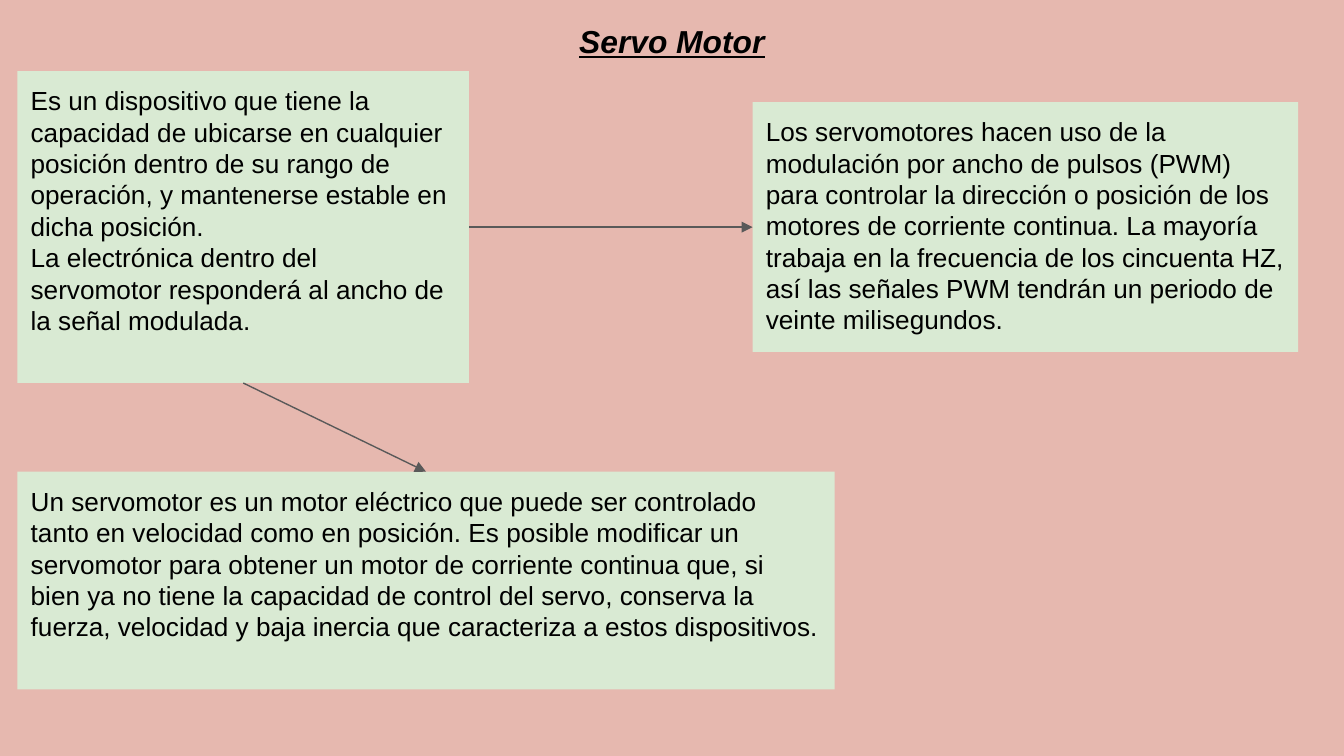
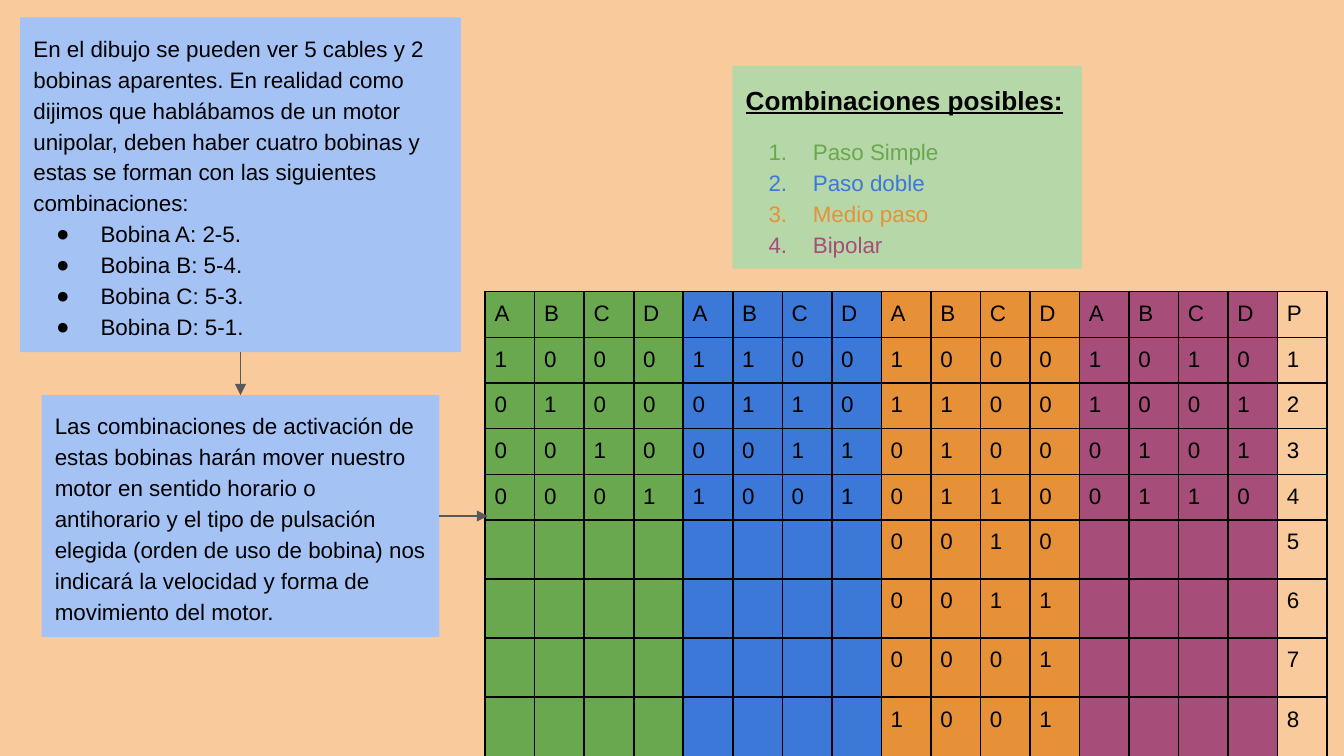
from lxml.etree import SubElement
from pptx import Presentation
from pptx.dml.color import RGBColor
from pptx.enum.shapes import MSO_CONNECTOR, MSO_SHAPE
from pptx.enum.text import MSO_ANCHOR, MSO_AUTO_SIZE, PP_ALIGN
from pptx.oxml.ns import qn
from pptx.util import Inches, Pt

FONT = "Arial"
BLACK = RGBColor(0x00, 0x00, 0x00)
GRAY = RGBColor(0x59, 0x59, 0x59)
PINK = RGBColor(0xE6, 0xB8, 0xAF)
PEACH = RGBColor(0xF9, 0xCB, 0x9C)
PALE_GREEN = RGBColor(0xD9, 0xEA, 0xD3)
LIGHT_GREEN = RGBColor(0xB6, 0xD7, 0xA8)
LIGHT_BLUE = RGBColor(0xA4, 0xC2, 0xF4)
GREEN = RGBColor(0x6A, 0xA8, 0x4F)
BLUE = RGBColor(0x3C, 0x78, 0xD8)
ORANGE = RGBColor(0xE6, 0x91, 0x38)
PURPLE = RGBColor(0xA6, 0x4D, 0x79)

STEP_MODES = [
    ("Paso Simple", GREEN, ["1000", "0100", "0010", "0001"]),
    ("Paso doble", BLUE, ["1100", "0110", "0011", "1001"]),
    ("Medio paso", ORANGE, ["1000", "1100", "0100", "0110",
                            "0010", "0011", "0001", "1001"]),
    ("Bipolar", PURPLE, ["1010", "1001", "0101", "0110"]),
]
COILS = "ABCD"
PULSES = 8


def add_text(tf, text, size=12, color=BLACK, bold=False, italic=False,
             underline=False, align=PP_ALIGN.LEFT, spacing=None, before=None,
             bullet=None):
    """Write one paragraph, using the empty first one if it is free."""
    p = tf.paragraphs[0]
    if p.runs:
        p = tf.add_paragraph()
    p.alignment = align
    if spacing:
        p.line_spacing = spacing
    if before:
        p.space_before = Pt(before)
    if bullet:
        pPr = p._p.get_or_add_pPr()
        pPr.set("marL", str(Inches(0.5)))
        pPr.set("indent", str(Inches(-0.33)))
        SubElement(SubElement(pPr, qn("a:buClr")), qn("a:srgbClr"), val=str(color))
        SubElement(pPr, qn("a:buFont"), typeface=FONT)
        if bullet == "number":
            SubElement(pPr, qn("a:buAutoNum"), type="arabicPeriod")
        else:
            SubElement(pPr, qn("a:buChar"), char=bullet)
    r = p.add_run()
    r.text = text
    f = r.font
    f.name, f.size = FONT, Pt(size)
    f.bold, f.italic, f.underline = bold, italic, underline
    f.color.rgb = color


def set_frame(tf):
    """Give a text frame the shared margins, wrap and anchor."""
    tf.word_wrap = True
    tf.auto_size = MSO_AUTO_SIZE.SHAPE_TO_FIT_TEXT
    tf.vertical_anchor = MSO_ANCHOR.TOP
    tf.margin_left = tf.margin_right = tf.margin_top = tf.margin_bottom = Inches(0.1)


def add_box(s, box, fill, texts=(), **fmt):
    """Draw a filled box holding the given paragraphs."""
    sp = s.shapes.add_shape(MSO_SHAPE.RECTANGLE, *map(Inches, box))
    sp.shadow.inherit = False
    sp.fill.solid()
    sp.fill.fore_color.rgb = fill
    sp.line.fill.background()
    set_frame(sp.text_frame)
    for text in texts:
        add_text(sp.text_frame, text, **fmt)
    return sp


def add_title(s, box, text):
    """Write the slide title."""
    tf = s.shapes.add_textbox(*map(Inches, box)).text_frame
    set_frame(tf)
    add_text(tf, text, size=17, bold=True, italic=True, underline=True,
             align=PP_ALIGN.CENTER)


def add_arrow(s, start, side, end=None, end_side=None, length=0):
    """Run an arrow from a box side to another box, or rightwards by a length."""
    x, y = start.left + start.width, start.top + start.height // 2
    c = s.shapes.add_connector(MSO_CONNECTOR.STRAIGHT, x, y, x + Inches(length), y)
    c.begin_connect(start, side)
    if end is not None:
        c.end_connect(end, end_side)
    c.line.color.rgb = GRAY
    c.line.width = Pt(0.75)
    SubElement(c.line._get_or_add_ln(), qn("a:tailEnd"), type="triangle")
    SubElement(c._element.spPr, qn("a:effectLst"))


def add_slide(prs, color):
    """Add a blank slide with a plain background."""
    s = prs.slides.add_slide(prs.slide_layouts[6])
    s.background.fill.solid()
    s.background.fill.fore_color.rgb = color
    return s


def set_cell(cell, text, fill):
    """Fill, border and write one table cell."""
    cell.margin_left = cell.margin_right = Inches(0.07)
    cell.margin_top = cell.margin_bottom = Inches(0.07)
    tcPr = cell._tc.get_or_add_tcPr()
    for side in ("lnL", "lnR", "lnT", "lnB"):
        ln = SubElement(tcPr, qn(f"a:{side}"), w=str(Pt(1)))
        SubElement(SubElement(ln, qn("a:solidFill")), qn("a:srgbClr"), val=str(BLACK))
    if fill is None:
        cell.fill.background()
    else:
        cell.fill.solid()
        cell.fill.fore_color.rgb = fill
    if text:
        add_text(cell.text_frame, text)
    else:
        SubElement(cell.text_frame.paragraphs[0]._p, qn("a:endParaRPr"), sz="1200")


def add_step_table(s, left, top, width):
    """Tabulate the coil states of every step mode by pulse."""
    columns = [(coil, color, [state[i] for state in states])
               for _, color, states in STEP_MODES
               for i, coil in enumerate(COILS)]
    columns.append(("P", None, [str(n + 1) for n in range(PULSES)]))
    heights = [0.34] * 5 + [0.44] * 4
    gf = s.shapes.add_table(PULSES + 1, len(columns), Inches(left), Inches(top),
                            Inches(width), Inches(sum(heights)))
    table = gf.table
    table.first_row = table.horz_banding = False
    for row, height in zip(table.rows, heights):
        row.height = Inches(height)
    for j, (head, color, values) in enumerate(columns):
        table.columns[j].width = Inches(width / len(columns))
        texts = [head] + values + [""] * (PULSES - len(values))
        for i, text in enumerate(texts):
            set_cell(table.cell(i, j), text, color)


def build_servo(prs):
    """Build the servo motor slide."""
    s = add_slide(prs, PINK)
    device = add_box(s, (0.13, 0.53, 3.36, 2.32), PALE_GREEN, [
        "Es un dispositivo que tiene la capacidad de ubicarse en cualquier posición "
        "dentro de su rango de operación, y mantenerse estable en dicha posición.",
        "La electrónica dentro del servomotor responderá al ancho de la señal modulada.",
    ], size=14)
    control = add_box(s, (0.13, 3.51, 6.08, 1.62), PALE_GREEN, [
        "Un servomotor es un motor eléctrico que puede ser controlado tanto en "
        "velocidad como en posición. Es posible modificar un servomotor para obtener "
        "un motor de corriente continua que, si bien ya no tiene la capacidad de "
        "control del servo, conserva la fuerza, velocidad y baja inercia que "
        "caracteriza a estos dispositivos.",
    ], size=14)
    pwm = add_box(s, (5.6, 0.76, 4.06, 1.86), PALE_GREEN, [
        "Los servomotores hacen uso de la modulación por ancho de pulsos (PWM) para "
        "controlar la dirección o posición de los motores de corriente continua. La "
        "mayoría trabaja en la frecuencia de los cincuenta HZ, así las señales PWM "
        "tendrán un periodo de veinte milisegundos.",
    ], size=14)
    add_title(s, (3.73, 0.06, 2.54, 0.49), "Servo Motor")
    add_arrow(s, device, 3, pwm, 1)
    add_arrow(s, device, 2, control, 0)


def build_steps(prs):
    """Build the coil combinations slide."""
    s = add_slide(prs, PEACH)
    coils = add_box(s, (0.15, 0.13, 3.28, 2.49), LIGHT_BLUE, [
        "En el dibujo se pueden ver 5 cables y 2 bobinas aparentes. En realidad como "
        "dijimos que hablábamos de un motor unipolar, deben haber cuatro bobinas y "
        "estas se forman con las siguientes combinaciones:",
    ], spacing=1.15)
    for coil, pair in zip(COILS, ("2-5", "5-4", "5-3", "5-1")):
        add_text(coils.text_frame, f"Bobina {coil}: {pair}.", spacing=1.15, bullet="●")
    modes = add_box(s, (5.45, 0.49, 2.6, 1.51), LIGHT_GREEN,
                    ["Combinaciones posibles:"], size=14, bold=True, underline=True,
                    align=PP_ALIGN.JUSTIFY, spacing=1.15)
    for i, (name, color, _) in enumerate(STEP_MODES):
        add_text(modes.text_frame, name, color=color, spacing=1.15,
                 before=None if i else 10, bullet="number")
    add_step_table(s, 3.61, 2.17, 6.27)
    motion = add_box(s, (0.31, 2.94, 2.96, 1.8), LIGHT_BLUE, [
        "Las combinaciones de activación de estas bobinas harán mover nuestro motor en "
        "sentido horario o antihorario y el tipo de pulsación elegida (orden de uso de "
        "bobina) nos indicará la velocidad y forma de movimiento del motor.",
    ], spacing=1.15)
    add_arrow(s, coils, 2, motion, 0)
    add_arrow(s, motion, 3, length=0.36)


def main():
    """Build and save the presentation."""
    prs = Presentation()
    prs.slide_width = Inches(10)
    prs.slide_height = prs.slide_width * 9 // 16
    build_servo(prs)
    build_steps(prs)
    prs.save("out.pptx")


if __name__ == "__main__":
    main()
